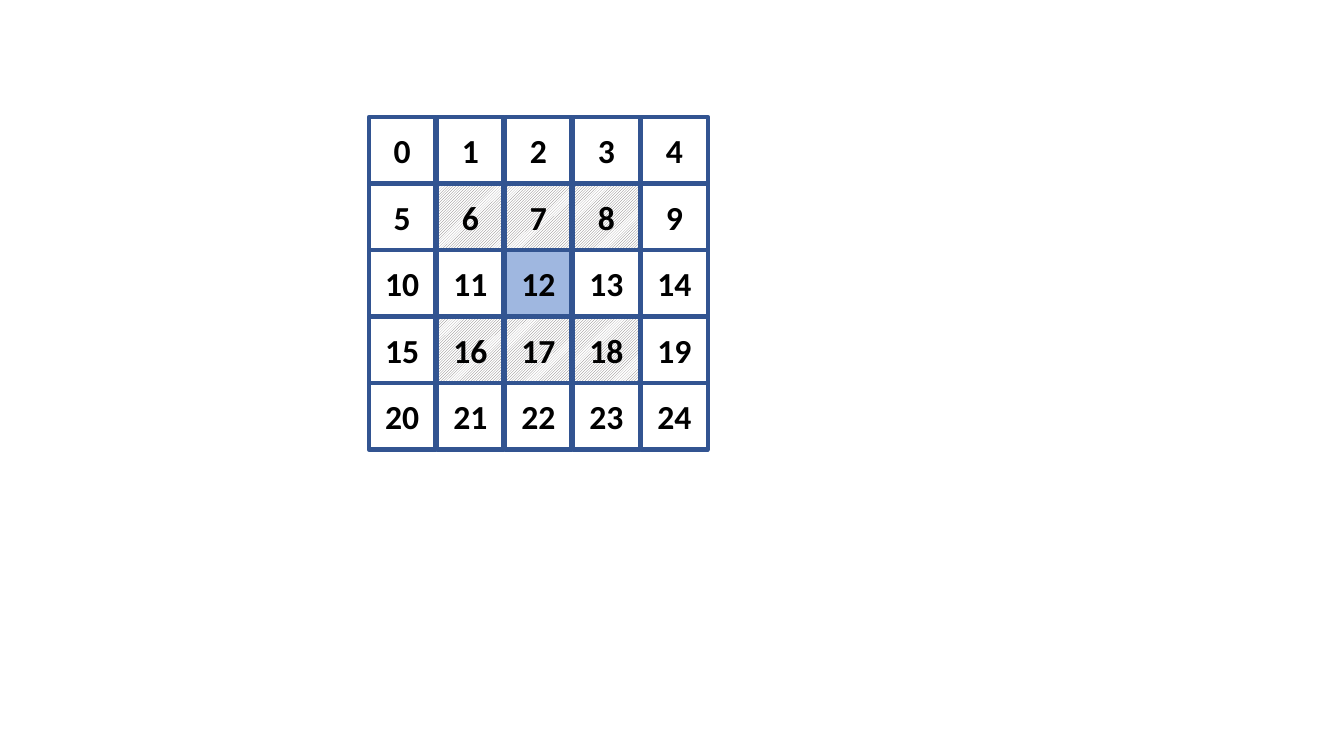
from dataclasses import dataclass

from lxml.etree import SubElement
from pptx import Presentation
from pptx.dml.color import RGBColor
from pptx.enum.dml import MSO_PATTERN
from pptx.enum.shapes import MSO_SHAPE
from pptx.enum.text import MSO_ANCHOR, PP_ALIGN
from pptx.oxml.ns import qn
from pptx.util import Inches, Pt


@dataclass(frozen=True)
class Theme:
    border: RGBColor = RGBColor(0x32, 0x54, 0x91)
    centre: RGBColor = RGBColor(0x44, 0x72, 0xC4)
    hatch: RGBColor = RGBColor(0x76, 0x71, 0x71)
    paper: RGBColor = RGBColor(0xFF, 0xFF, 0xFF)
    ink: RGBColor = RGBColor(0, 0, 0)
    font: str = "Calibri"
    text_size: int = 24
    border_width: int = 3


THEME = Theme()
GRID_SIZE = 5
FIRST_LEFT, LAST_LEFT = 3.66, 6.36
FIRST_TOP = 1.16
CELL_SIZE = 0.66
COLUMN_STEP = (LAST_LEFT - FIRST_LEFT) / (GRID_SIZE - 1)
CENTRE_CELL = (2, 2)
HATCHED_ROWS = (1, 3)
HATCHED_COLUMNS = (1, 2, 3)
CENTRE_OPACITY = 51


def set_format(target, values):
    for name, value in values.items():
        setattr(target, name, value)


def fill_centre(box):
    box.fill.solid()
    box.fill.fore_color.rgb = THEME.centre
    colour = box.fill._xPr.find(qn("a:solidFill"))[0]
    SubElement(colour, qn("a:alpha"), val=str(CENTRE_OPACITY * 1000))


def fill_hatched(box):
    box.fill.patterned()
    box.fill.pattern = MSO_PATTERN.LIGHT_UPWARD_DIAGONAL
    box.fill.fore_color.rgb = THEME.hatch
    box.fill.back_color.rgb = THEME.paper


def fill_cell(box, row, column):
    if (row, column) == CENTRE_CELL:
        fill_centre(box)
    elif row in HATCHED_ROWS and column in HATCHED_COLUMNS:
        fill_hatched(box)
    else:
        box.fill.background()


def write_label(box, label):
    box.text_frame.vertical_anchor = MSO_ANCHOR.MIDDLE
    para = box.text_frame.paragraphs[0]
    para.alignment = PP_ALIGN.CENTER
    span = para.add_run()
    span.text = label
    set_format(span.font, {"name": THEME.font, "size": Pt(THEME.text_size), "bold": True})
    span.font.color.rgb = THEME.ink


def add_cell(page, row, column):
    box = page.shapes.add_shape(
        MSO_SHAPE.RECTANGLE,
        Inches(FIRST_LEFT + column * COLUMN_STEP),
        Inches(FIRST_TOP + row * CELL_SIZE),
        Inches(CELL_SIZE),
        Inches(CELL_SIZE),
    )
    box.shadow.inherit = False
    fill_cell(box, row, column)
    box.line.color.rgb = THEME.border
    box.line.width = Pt(THEME.border_width)
    write_label(box, str(row * GRID_SIZE + column))


def main():
    deck = Presentation()
    set_format(deck, {"slide_width": Inches(13.33), "slide_height": Inches(7.5)})
    page = deck.slides.add_slide(deck.slide_layouts[6])
    for row in range(GRID_SIZE):
        for column in range(GRID_SIZE):
            add_cell(page, row, column)
    deck.save("out.pptx")


if __name__ == "__main__":
    main()
